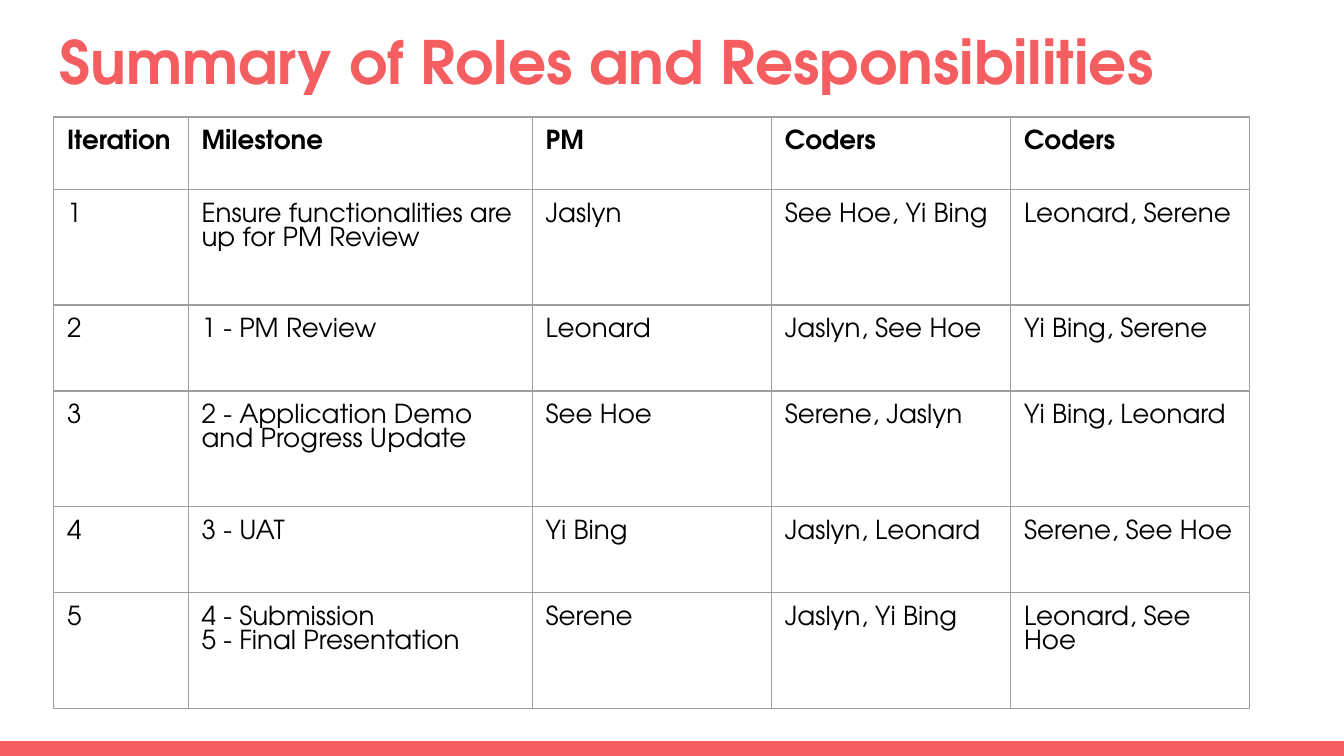
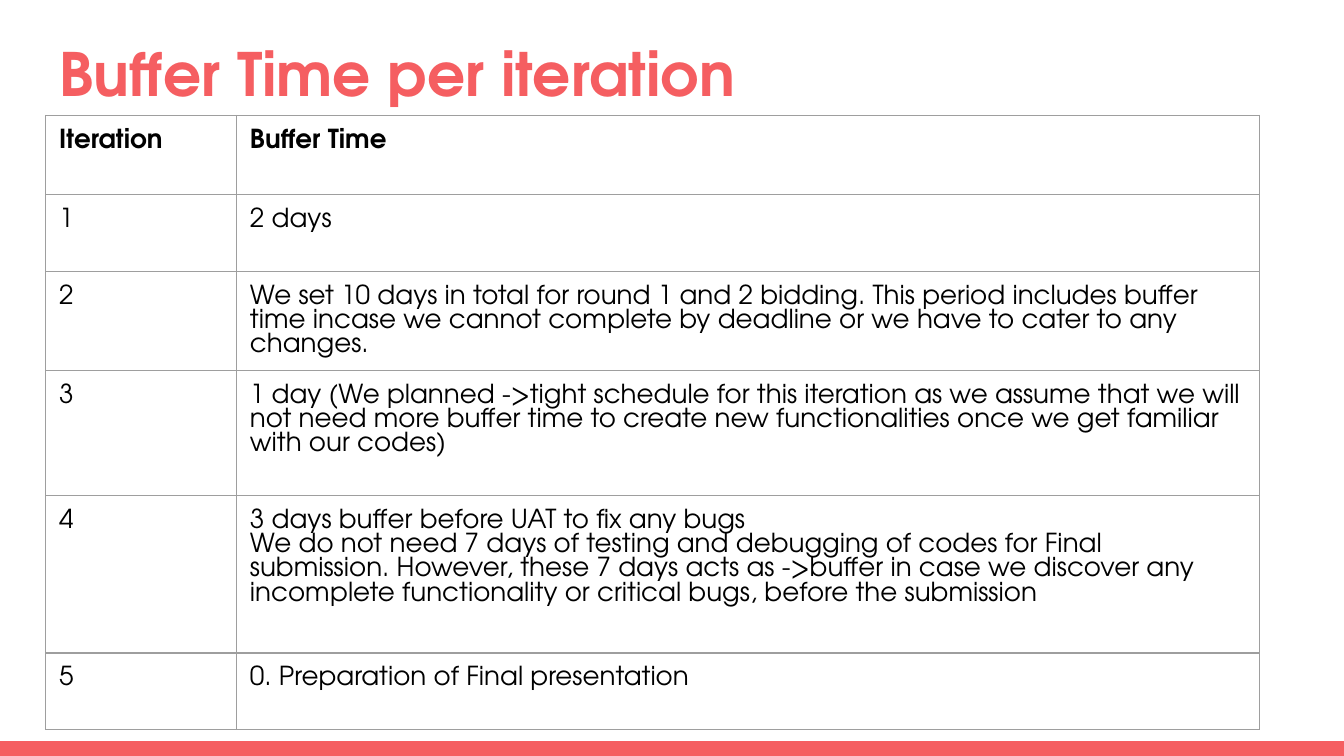
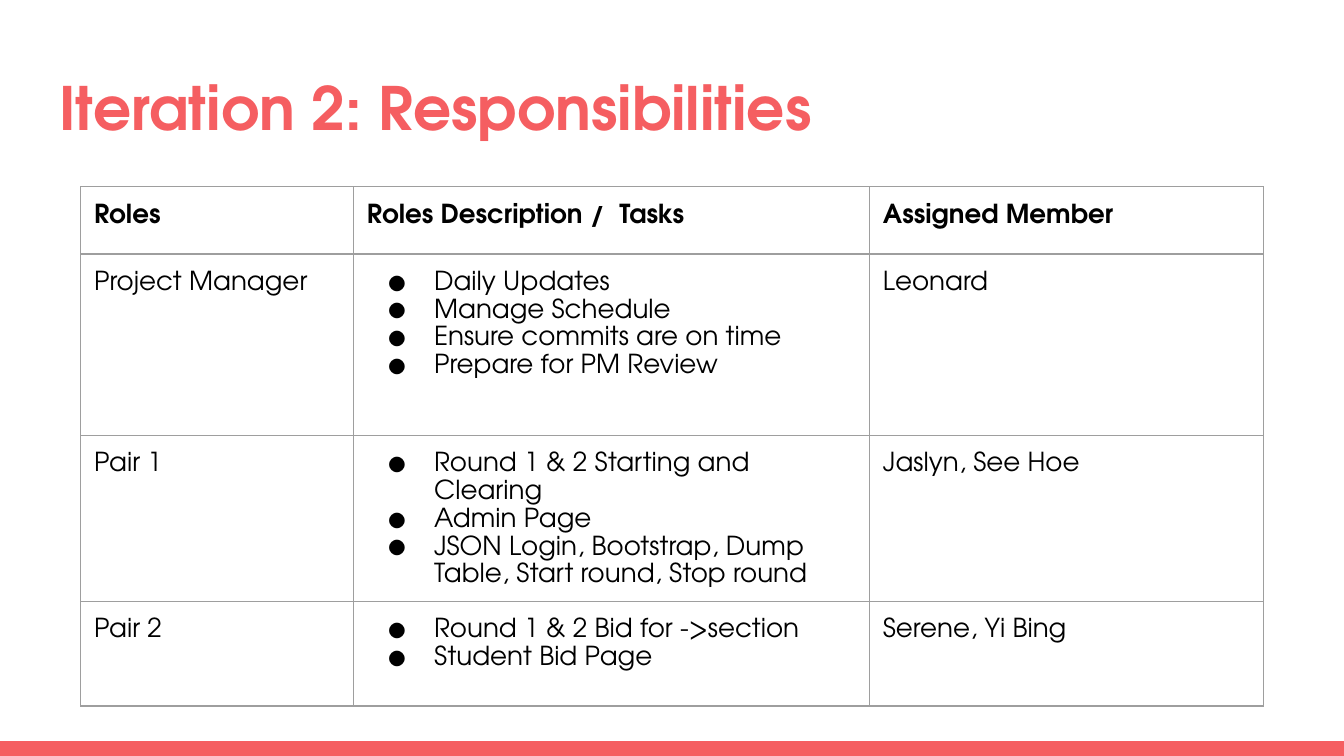
from dataclasses import dataclass

from lxml import etree
from pptx import Presentation
from pptx.dml.color import RGBColor
from pptx.enum.shapes import MSO_SHAPE
from pptx.enum.text import MSO_ANCHOR, PP_ALIGN
from pptx.oxml.ns import qn
from pptx.util import Inches, Pt

RECTANGLE = MSO_SHAPE.RECTANGLE
BOTTOM = MSO_ANCHOR.BOTTOM
TOP = MSO_ANCHOR.TOP
LEFT = PP_ALIGN.LEFT
TITLE_ONLY = 5


@dataclass(frozen=True)
class Theme:
    font: str = "TeX Gyre Adventor"
    accent: str = "F55E61"
    ink: str = "000000"
    border: str = "9E9E9E"
    title_size: int = 32
    cell_size: int = 14
    border_width: float = 0.75
    inset: float = 0.1


class SlideBuilder:
    def __init__(self, deck, theme):
        self.deck = deck
        self.theme = theme
        self.layout = deck.slide_layouts[TITLE_ONLY]
        self.page = None

    def start_page(self, title, top):
        self.page = self.deck.slides.add_slide(self.layout)
        self.title(title, top)

    def style_runs(self, para, size, color, bold):
        for span in para.runs:
            span.font.name = self.theme.font
            span.font.size = Pt(size)
            span.font.bold = bold
            span.font.color.rgb = RGBColor.from_string(color)

    def title(self, text, top):
        box = self.page.shapes.title
        box.left, box.top = Inches(0.34), Inches(top)
        box.width, box.height = Inches(9.32), Inches(0.68)
        frame = box.text_frame
        frame.text = text
        frame.word_wrap = True
        frame.vertical_anchor = BOTTOM
        frame.margin_left = frame.margin_right = frame.margin_top = Inches(self.theme.inset)
        frame.margin_bottom = Inches(0.05)
        para = frame.paragraphs[0]
        para.alignment = LEFT
        self.style_runs(para, self.theme.title_size, self.theme.accent, True)

    def shared_band(self):
        height = Inches(0.11)
        band = self.page.shapes.add_shape(
            RECTANGLE, 0, self.deck.slide_height - height, self.deck.slide_width, height)
        band.shadow.inherit = False
        band.fill.solid()
        band.fill.fore_color.rgb = RGBColor.from_string(self.theme.accent)
        band.line.fill.background()
        self.layout.shapes.element.append(band.element)

    def table(self, left, top, widths, heights, rows, spacing=1.0):
        frame = self.page.shapes.add_table(
            len(heights), len(widths), Inches(left), Inches(top),
            Inches(sum(widths)), Inches(sum(heights)))
        grid = frame.table
        grid.first_row = False
        grid.horz_banding = False
        for column, width in zip(grid.columns, widths):
            column.width = Inches(width)
        for row, height in zip(grid.rows, heights):
            row.height = Inches(height)
        for row_index, row in enumerate(rows):
            for column_index, content in enumerate(row):
                self.cell(grid.cell(row_index, column_index), content,
                          row_index == 0, spacing)

    def cell(self, cell, content, bold, spacing):
        bulleted = isinstance(content, list)
        cell.text_frame.text = "\n".join(content) if bulleted else content
        cell.vertical_anchor = TOP
        cell.margin_left = cell.margin_right = Inches(self.theme.inset)
        cell.margin_top = cell.margin_bottom = Inches(self.theme.inset)
        for para in cell.text_frame.paragraphs:
            para.line_spacing = spacing
            self.style_runs(para, self.theme.cell_size, self.theme.ink, bold)
            if bulleted:
                self.bullet(para)
        self.borders(cell)
        cell.fill.background()

    def bullet(self, para):
        properties = para._p.get_or_add_pPr()
        properties.set("marL", str(Inches(0.5)))
        properties.set("indent", str(Inches(-0.35)))
        color = etree.SubElement(properties, qn("a:buClr"))
        etree.SubElement(color, qn("a:srgbClr"), val=self.theme.ink)
        etree.SubElement(properties, qn("a:buFont"), typeface=self.theme.font)
        etree.SubElement(properties, qn("a:buChar"), char="●")

    def borders(self, cell):
        properties = cell._tc.get_or_add_tcPr()
        for side in ("a:lnL", "a:lnR", "a:lnT", "a:lnB"):
            line = etree.SubElement(
                properties, qn(side), w=str(Pt(self.theme.border_width)))
            fill = etree.SubElement(line, qn("a:solidFill"))
            etree.SubElement(fill, qn("a:srgbClr"), val=self.theme.border)


ROLES = [
    ["Iteration", "Milestone", "PM", "Coders", "Coders"],
    ["1", "Ensure functionalities are up for PM Review", "Jaslyn",
     "See Hoe, Yi Bing", "Leonard, Serene"],
    ["2", "1 - PM Review", "Leonard", "Jaslyn, See Hoe", "Yi Bing, Serene"],
    ["3", "2 - Application Demo and Progress Update", "See Hoe",
     "Serene, Jaslyn", "Yi Bing, Leonard"],
    ["4", "3 - UAT", "Yi Bing", "Jaslyn, Leonard", "Serene, See Hoe"],
    ["5", "4 - Submission\n5 - Final Presentation", "Serene",
     "Jaslyn, Yi Bing", "Leonard, See Hoe"],
]

BUFFERS = [
    ["Iteration", "Buffer Time"],
    ["1", "2 days"],
    ["2", "We set 10 days in total for round 1 and 2 bidding. This period includes "
          "buffer time incase we cannot complete by deadline or we have to cater to "
          "any changes."],
    ["3", "1 day (We planned ->tight schedule for this iteration as we assume that "
          "we will not need more buffer time to create new functionalities once we "
          "get familiar with our codes)"],
    ["4", "3 days buffer before UAT to fix any bugs\n"
          "We do not need 7 days of testing and debugging of codes for Final "
          "submission. However, these 7 days acts as ->buffer in case we discover "
          "any incomplete functionality or critical bugs, before the submission"],
    ["5", "0. Preparation of Final presentation"],
]

TASKS = [
    ["Roles", "Roles Description /  Tasks", "Assigned Member"],
    ["Project Manager",
     ["Daily Updates", "Manage Schedule", "Ensure commits are on time",
      "Prepare for PM Review"],
     "Leonard"],
    ["Pair 1",
     ["Round 1 & 2 Starting and Clearing", "Admin Page",
      "JSON Login, Bootstrap, Dump Table, Start round, Stop round"],
     "Jaslyn, See Hoe"],
    ["Pair 2", ["Round 1 & 2 Bid for ->section", "Student Bid Page"],
     "Serene, Yi Bing"],
]


def main():
    deck = Presentation()
    deck.slide_width = Inches(10)
    deck.slide_height = deck.slide_width * 9 // 16
    builder = SlideBuilder(deck, Theme())

    builder.start_page("Summary of Roles and Responsibilities", 0.09)
    builder.shared_band()
    builder.table(0.4, 0.87, [1, 2.56] + [1.78] * 3,
                  [0.54] + [0.86, 0.64] * 2 + [0.86], ROLES)

    builder.start_page("Buffer Time per iteration", 0.18)
    builder.table(0.34, 0.86, [1.42, 7.61],
                  [0.59, 0.57, 0.69, 0.93, 1.17, 0.57], BUFFERS)

    builder.start_page("Iteration 2: Responsibilities", 0.43)
    builder.table(0.6, 1.39, [2.03, 3.84, 2.93],
                  [0.5, 1.35, 0.78, 0.78], TASKS, spacing=1.15)

    deck.save("out.pptx")


if __name__ == "__main__":
    main()
